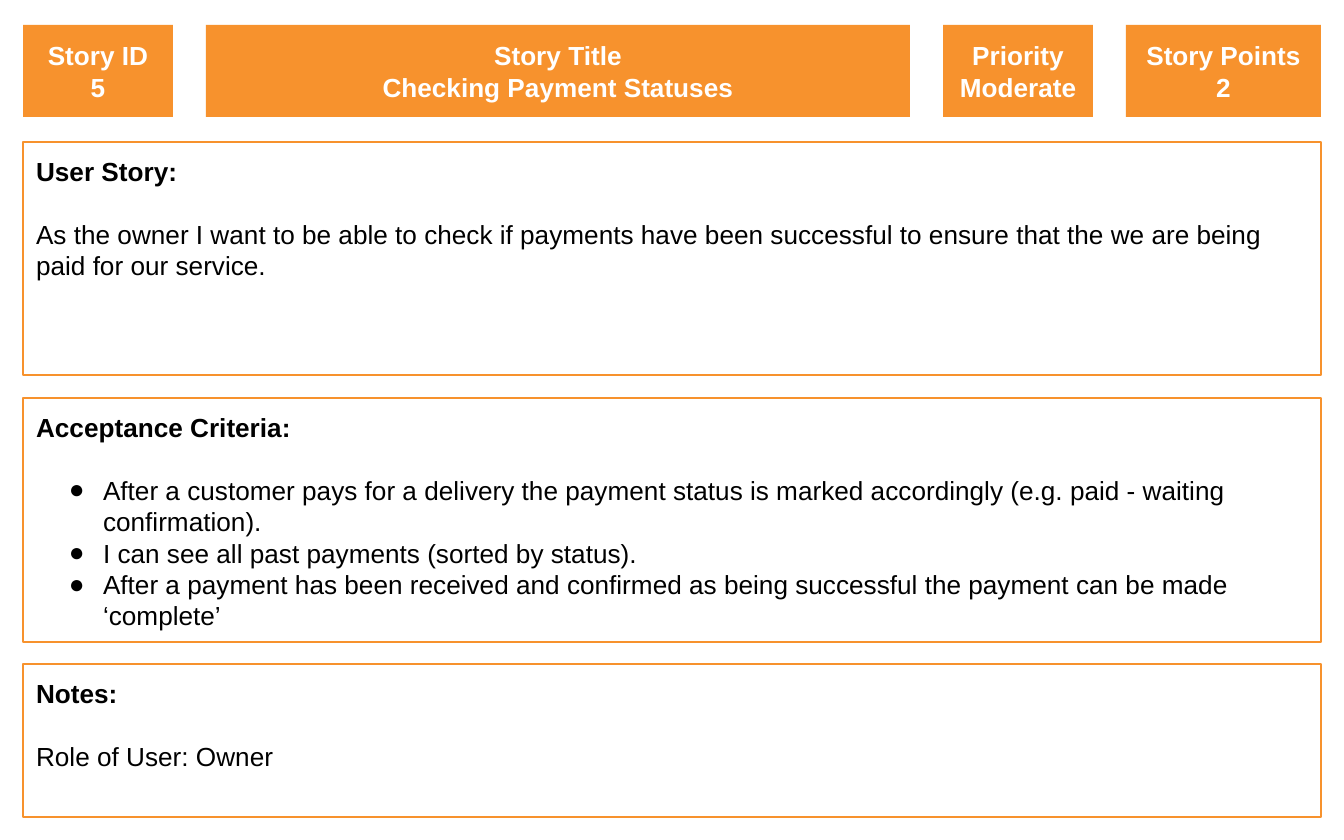
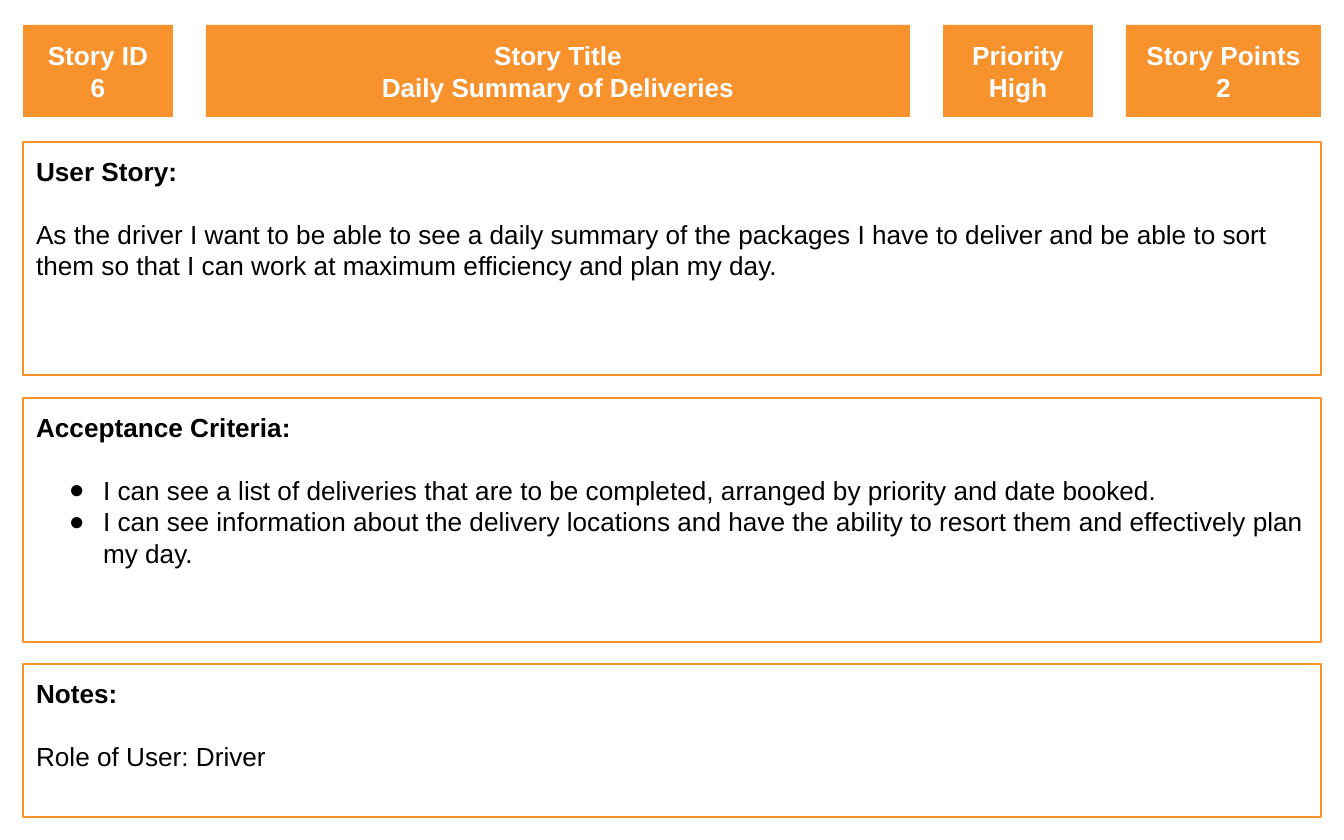
import lxml.etree
import pptx
import pptx.dml.color
import pptx.enum.shapes
import pptx.enum.text
import pptx.oxml.ns
import pptx.util

PX = 914400 / 134.4
ORANGE, WHITE, BLACK = "F7922D", "FFFFFF", "000000"
MARGIN, CONTENT_WIDTH, INSET = 23, 1298, 13
HEADER_TOP, HEADER_HEIGHT, HEADER_GAP = 25, 92, 33
HEADER_WIDTHS = {"Story ID": 150, "Story Title": 704, "Priority": 150, "Story Points": 195}
# Panel heading: top, height
PANELS = {"User Story:": (142, 233), "Acceptance Criteria:": (398, 244), "Notes:": (664, 153)}

STORIES = [
    {
        "Story ID": "5",
        "Story Title": "Checking Payment Statuses",
        "Priority": "Moderate",
        "Story Points": "2",
        "User Story:": ["As the owner I want to be able to check if payments have been successful "
                        "to ensure that the we are being paid for our service."],
        "Acceptance Criteria:": [
            "After a customer pays for a delivery the payment status is marked accordingly "
            "(e.g. paid - waiting confirmation).",
            "I can see all past payments (sorted by status).",
            "After a payment has been received and confirmed as being successful the payment "
            "can be made ‘complete’",
        ],
        "Notes:": ["Role of User: Owner"],
    },
    {
        "Story ID": "6",
        "Story Title": "Daily Summary of Deliveries",
        "Priority": "High",
        "Story Points": "2",
        "User Story:": ["As the driver I want to be able to see a daily summary of the packages "
                        "I have to deliver and be able to sort them so that I can work at "
                        "maximum efficiency and plan my day."],
        "Acceptance Criteria:": [
            "I can see a list of deliveries that are to be completed, arranged by priority "
            "and date booked.",
            "I can see information about the delivery locations and have the ability to resort "
            "them and effectively plan my day.",
        ],
        "Notes:": ["Role of User: Driver"],
    },
]


def rgb(value):
    return pptx.dml.color.RGBColor.from_string(value)


def add_box(slide, bounds, fill, ink, lines, bold_lines, align, anchor):
    """Add a filled rectangle holding one paragraph per line; the first bold_lines are bold."""
    box = slide.shapes.add_shape(pptx.enum.shapes.MSO_SHAPE.RECTANGLE,
                                 *(round(length * PX) for length in bounds))
    box.shadow.inherit = False
    box.fill.solid()
    box.fill.fore_color.rgb = rgb(fill)
    box.line.fill.background()
    frame = box.text_frame
    frame.word_wrap = True
    frame.vertical_anchor = anchor
    frame.margin_left = frame.margin_right = round(INSET * PX)
    frame.margin_top = frame.margin_bottom = round(INSET * PX)
    for index, line in enumerate(lines):
        paragraph = frame.paragraphs[0] if index == 0 else frame.add_paragraph()
        paragraph.alignment = align
        run = paragraph.add_run()
        run.text = line
        run.font.name = "Arial"
        run.font.size = pptx.util.Pt(14)
        run.font.bold = index < bold_lines
        run.font.color.rgb = rgb(ink)
    return box


deck = pptx.Presentation()
deck.slide_width = round(1344 * PX)
deck.slide_height = round(840 * PX)

for story in STORIES:
    card = deck.slides.add_slide(deck.slide_layouts[6])

    # Header row
    left = MARGIN
    for label, width in HEADER_WIDTHS.items():
        add_box(card, (left, HEADER_TOP, width, HEADER_HEIGHT), ORANGE, WHITE,
                [label, story[label]], 2,
                pptx.enum.text.PP_ALIGN.CENTER, pptx.enum.text.MSO_ANCHOR.MIDDLE)
        left += width + HEADER_GAP

    # Outlined panels
    for heading, (top, height) in PANELS.items():
        panel = add_box(card, (MARGIN, top, CONTENT_WIDTH, height), WHITE, BLACK,
                        [heading, *story[heading]], 1,
                        pptx.enum.text.PP_ALIGN.LEFT, pptx.enum.text.MSO_ANCHOR.TOP)
        panel.line.color.rgb = rgb(ORANGE)
        panel.line.width = pptx.util.Pt(1.5)
        title, *details = panel.text_frame.paragraphs
        title.space_after = pptx.util.Pt(17)

        # Bulleted criteria
        if heading == "Acceptance Criteria:":
            for criterion in details:
                properties = criterion._p.get_or_add_pPr()
                properties.set("marL", str(round(67 * PX)))
                properties.set("indent", str(round(-34 * PX)))
                colour = lxml.etree.SubElement(properties, pptx.oxml.ns.qn("a:buClr"))
                lxml.etree.SubElement(colour, pptx.oxml.ns.qn("a:srgbClr"), val=BLACK)
                lxml.etree.SubElement(properties, pptx.oxml.ns.qn("a:buFont"), typeface="Arial")
                lxml.etree.SubElement(properties, pptx.oxml.ns.qn("a:buChar"), char="●")

deck.save("out.pptx")
